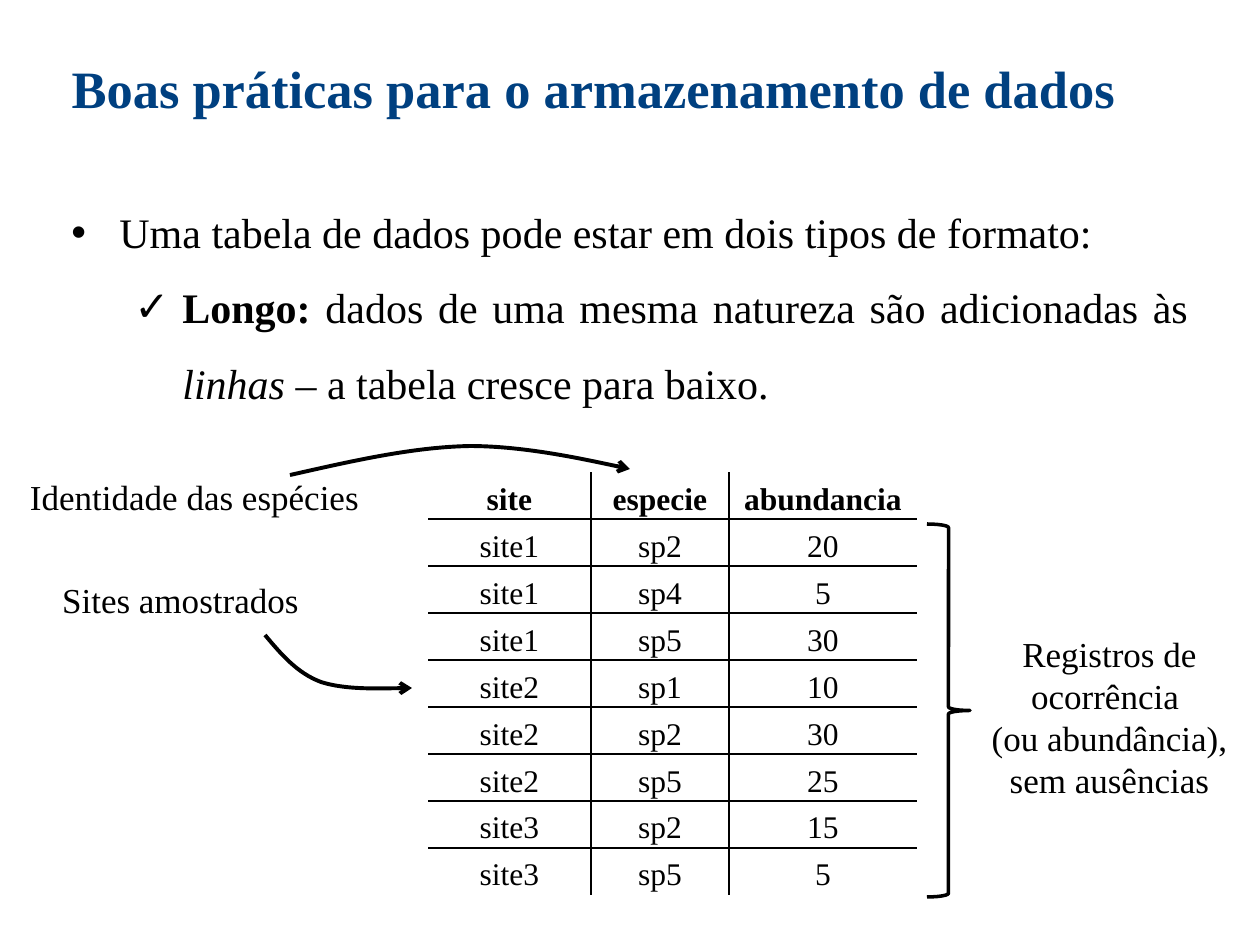
from pptx import Presentation
from pptx.dml.color import RGBColor
from pptx.enum.shapes import MSO_SHAPE
from pptx.enum.text import MSO_ANCHOR, MSO_AUTO_SIZE, PP_ALIGN
from pptx.oxml.ns import qn
from pptx.util import Pt
from lxml import etree

BRACE = MSO_SHAPE.RIGHT_BRACE
TOP, MIDDLE = MSO_ANCHOR.TOP, MSO_ANCHOR.MIDDLE
NONE = MSO_AUTO_SIZE.NONE
CENTER, JUSTIFY = PP_ALIGN.CENTER, PP_ALIGN.JUSTIFY
FACE, INK, BLUE = "Times New Roman", "000000", "004080"
SCALE = 914400 / 126

TITLE = "Boas práticas para o armazenamento de dados"
POINTS = [
    ("•", 0, 48, [("Uma tabela de dados pode estar em dois tipos de formato:", {})]),
    ("✓", 1, 111, [("Longo: ", {"bold": True}),
                   ("dados de uma mesma natureza são adicionadas às ", {}),
                   ("linhas ", {"italic": True}),
                   ("– a tabela cresce para baixo.", {})]),
]
HEAD = ("site", "especie", "abundancia")
ROWS = [
    ("site1", "sp2", 20), ("site1", "sp4", 5), ("site1", "sp5", 30),
    ("site2", "sp1", 10), ("site2", "sp2", 30), ("site2", "sp5", 25),
    ("site3", "sp2", 15), ("site3", "sp5", 5),
]
COLS = (163, 138, 188)
ROW = 47
NOTES = [
    ((16, 469, 357, 55), False, ["Identidade das espécies"]),
    ((48, 572, 265, 55), False, ["Sites amostrados"]),
    ((934, 626, 351, 183), True,
     ["Registros de ocorrência \v(ou abundância),", "sem ausências"]),
]
CURVES = [
    [(290, 475), (352, 461), (413, 447), (470, 446),
     (527, 446), (630, 469), (630, 469)],
    [(265, 635), (281, 654), (297, 673), (321, 682),
     (346, 690), (412, 688), (412, 688)],
]


def px(n):
    return round(n * SCALE)


def color(code):
    return RGBColor.from_string(code)


def add(parent, tag, **attrs):
    return etree.SubElement(parent, qn(tag), attrs)


def put(item, values):
    for name, value in values.items():
        setattr(item, name, value)


def write(par, runs, size, code=INK, **form):
    put(par, form)
    for text, look in runs:
        for i, part in enumerate(text.split("\v")):
            if i:
                par.add_line_break()
            run = par.add_run()
            run.text = part
            put(run.font, {"name": FACE, "size": Pt(size), "bold": False, **look})
            run.font.color.rgb = color(code)


def place(item, box):
    put(item, dict(zip(("left", "top", "width", "height"), map(px, box))))


def frame(box, wrap=True):
    text = slide.shapes.add_textbox(*map(px, box)).text_frame
    text.word_wrap = wrap
    return text


def paras(text, count):
    return [text.paragraphs[0]] + [text.add_paragraph() for _ in range(count - 1)]


def border(cell, shown):
    props = cell._tc.get_or_add_tcPr()
    for i, (side, on) in enumerate(shown.items()):
        line = etree.Element(qn("a:ln" + side), {"w": str(Pt(1))})
        if on:
            add(add(line, "a:solidFill"), "a:srgbClr", val=INK)
        else:
            add(line, "a:noFill")
        props.insert(i, line)


def stroke(shape, width):
    shape.shadow.inherit = False
    shape.fill.background()
    shape.line.color.rgb = color(INK)
    shape.line.width = Pt(width)


def curve(points):
    build = slide.shapes.build_freeform(*points[0], scale=SCALE)
    build.add_line_segments(points[1:], close=False)
    shape = build.convert_to_shape()
    stroke(shape, 2.25)
    route = next(shape._element.iter(qn("a:path")))
    steps = route.findall(qn("a:lnTo"))
    for i in range(0, len(steps), 3):
        bend = add(route, "a:cubicBezTo")
        for step in steps[i:i + 3]:
            bend.append(step[0])
            route.remove(step)
    add(shape.line._get_or_add_ln(), "a:tailEnd", type="arrow")


deck = Presentation()
put(deck, {"slide_width": px(1260), "slide_height": px(945)})
slide = deck.slides.add_slide(deck.slide_layouts[5])

title = slide.shapes.title
place(title, (59, 18, 1142, 103))
put(title.text_frame, {"vertical_anchor": TOP, "word_wrap": True, "auto_size": NONE})
write(title.text_frame.paragraphs[0], [(TITLE, {"bold": True})], 30, BLUE,
      alignment=JUSTIFY, line_spacing=1.5)

body = frame((59, 175, 1142, 237))
for par, (mark, level, indent, runs) in zip(paras(body, len(POINTS)), POINTS):
    write(par, runs, 24, alignment=JUSTIFY, line_spacing=1.5, level=level)
    props = par._p.get_or_add_pPr()
    props.set("marL", str(px(indent)))
    props.set("indent", str(px(-48)))
    add(props, "a:buFont", typeface="Arial")
    add(props, "a:buChar", char=mark)

data = [HEAD] + ROWS
last, end = len(data) - 1, len(COLS) - 1
grid = slide.shapes.add_table(len(data), len(COLS), px(428), px(472),
                              px(sum(COLS)), px(ROW * len(data))).table
put(grid, {"first_row": False, "horz_banding": False})
for col, width in zip(grid.columns, COLS):
    col.width = px(width)
for r, row in enumerate(data):
    grid.rows[r].height = px(ROW)
    for c, value in enumerate(row):
        cell = grid.cell(r, c)
        put(cell, {"margin_left": px(1), "margin_right": px(1), "margin_top": px(1),
                   "margin_bottom": 0, "vertical_anchor": MIDDLE})
        cell.fill.background()
        border(cell, {"L": c > 0, "R": c < end, "T": r > 0, "B": r < last})
        write(cell.text_frame.paragraphs[0], [(str(value), {"bold": r == 0})], 18,
              alignment=CENTER, line_spacing=1.2)

for box, wrap, lines in NOTES:
    for par, line in zip(paras(frame(box, wrap), len(lines)), lines):
        write(par, [(line, {})], 20, alignment=CENTER)

for points in CURVES:
    curve(points)

stroke(slide.shapes.add_shape(BRACE, *map(px, (927, 524, 43, 373))), 2)
deck.save("out.pptx")
